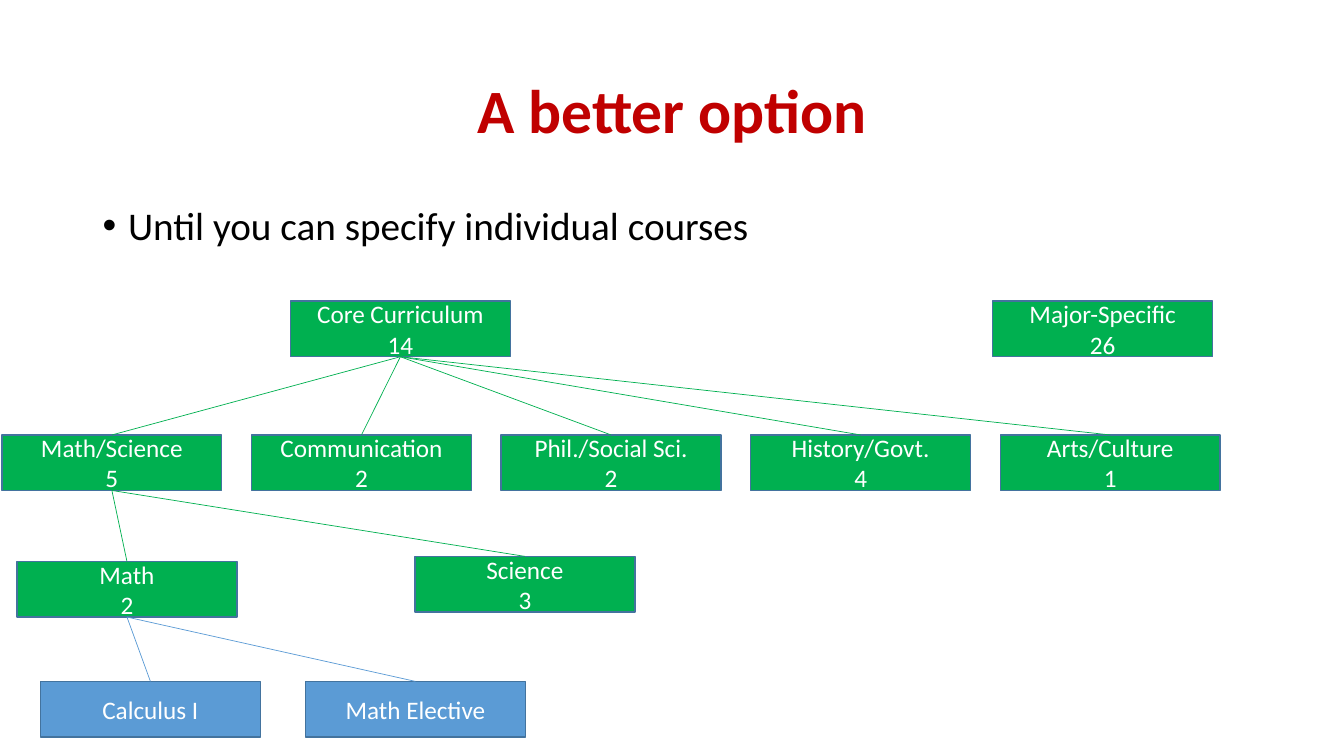
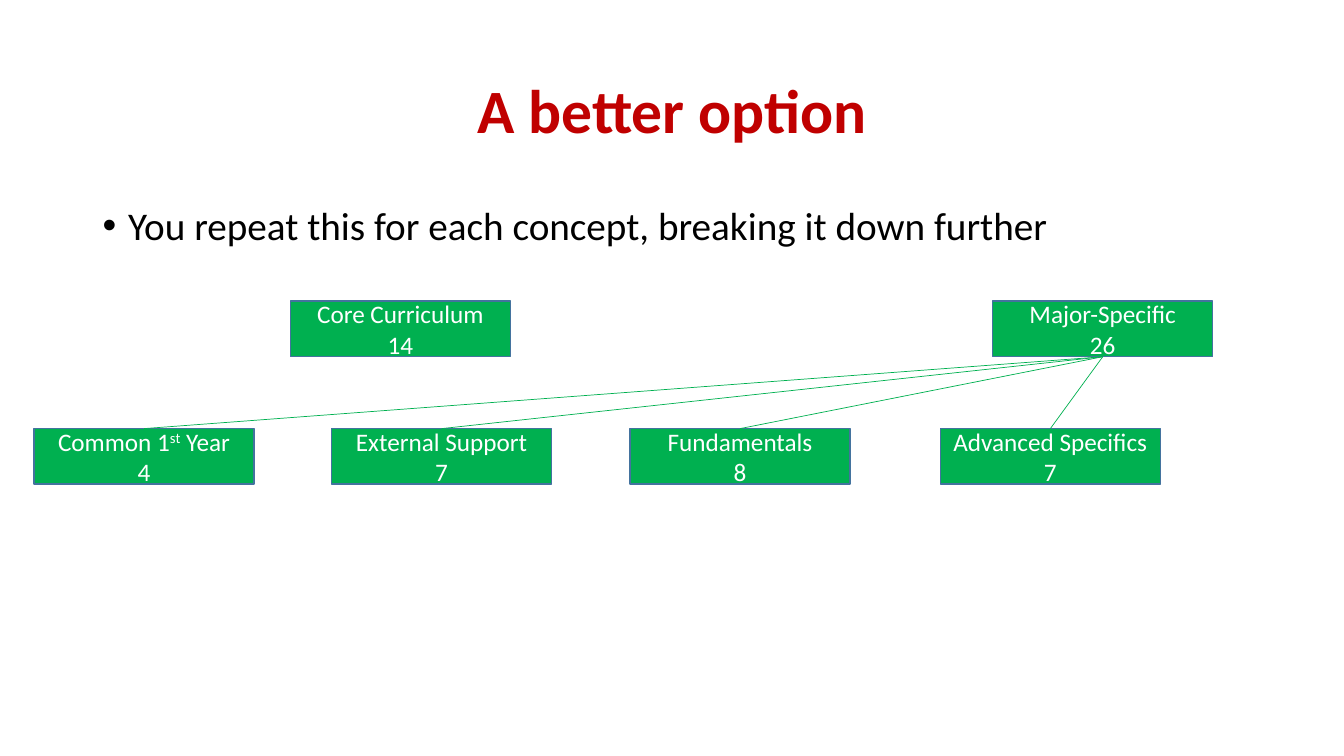
"""Build two slides that break a degree plan down into a course tree."""
from lxml import etree
from pptx import Presentation
from pptx.dml.color import RGBColor
from pptx.enum.shapes import MSO_CONNECTOR, MSO_SHAPE
from pptx.enum.text import MSO_ANCHOR, MSO_AUTO_SIZE, PP_ALIGN
from pptx.oxml.ns import qn
from pptx.util import Cm, Pt

COLORS = {
    "title": "C00000",
    "text": "000000",
    "group": "00B050",
    "course": "5B9BD5",
    "outline": "43739E",
    "box_text": "FFFFFF",
}
FONT = "Calibri"
MARGIN, CONTENT_WIDTH = 2.34, 29.21
BOX_WIDTH, BOX_HEIGHT = 5.54, 1.4
TOP, BOTTOM = 0, 2


def color(name):
    return RGBColor.from_string(COLORS[name])


def style_font(font, size, color_name, bold=False):
    font.name = FONT
    font.size = Pt(size)
    font.bold = bold
    font.color.rgb = color(color_name)


def add_title(slide, text):
    title = slide.shapes.title
    title.left, title.top = Cm(MARGIN), Cm(1.01)
    title.width, title.height = Cm(CONTENT_WIDTH), Cm(3.68)
    frame = title.text_frame
    frame.text = text
    frame.auto_size = MSO_AUTO_SIZE.NONE
    frame.vertical_anchor = MSO_ANCHOR.MIDDLE
    paragraph = frame.paragraphs[0]
    paragraph.alignment = PP_ALIGN.CENTER
    paragraph.line_spacing = 0.9
    style_font(paragraph.runs[0].font, 44, "title", bold=True)


def add_bullet(slide, text):
    box = slide.shapes.add_textbox(Cm(MARGIN), Cm(5.07), Cm(CONTENT_WIDTH), Cm(1.6))
    frame = box.text_frame
    frame.word_wrap = True
    paragraph = frame.paragraphs[0]
    paragraph.line_spacing = 0.9
    paragraph.space_before = Pt(10)
    run = paragraph.add_run()
    run.text = text
    style_font(run.font, 28, "text")
    properties = paragraph._p.get_or_add_pPr()
    properties.set("marL", str(Cm(0.64)))
    properties.set("indent", str(-Cm(0.64)))
    etree.SubElement(properties, qn("a:buFont")).set("typeface", "Arial")
    etree.SubElement(properties, qn("a:buChar")).set("char", "•")


def add_box(slide, left, top, lines, fill="group"):
    """Add a labelled box; text between carets becomes superscript."""
    box = slide.shapes.add_shape(
        MSO_SHAPE.RECTANGLE, Cm(left), Cm(top), Cm(BOX_WIDTH), Cm(BOX_HEIGHT))
    box.shadow.inherit = False
    box.fill.solid()
    box.fill.fore_color.rgb = color(fill)
    box.line.color.rgb = color("outline")
    box.line.width = Pt(1)
    frame = box.text_frame
    frame.word_wrap = True
    frame.vertical_anchor = MSO_ANCHOR.MIDDLE
    for index, line in enumerate(lines):
        paragraph = frame.add_paragraph() if index else frame.paragraphs[0]
        paragraph.alignment = PP_ALIGN.CENTER
        for part, text in enumerate(line.split("^")):
            run = paragraph.add_run()
            run.text = text
            style_font(run.font, 18, "box_text")
            if part % 2:
                run._r.get_or_add_rPr().set("baseline", "30000")
    return box


def connect(slide, parent, children, line_color="group"):
    for child in children:
        line = slide.shapes.add_connector(MSO_CONNECTOR.STRAIGHT, 0, 0, 0, 0)
        line.begin_connect(parent, BOTTOM)
        line.end_connect(child, TOP)
        line.line.color.rgb = color(line_color)
        line.line.width = Pt(0.5)
        etree.SubElement(line._element.spPr, qn("a:effectLst"))


def start_slide(prs, bullet):
    """Add a slide with the shared title and the two top-level boxes."""
    slide = prs.slides.add_slide(prs.slide_layouts[5])
    add_title(slide, "A better option")
    add_bullet(slide, bullet)
    major = add_box(slide, 25.02, 7.59, ["Major-Specific", "26"])
    core = add_box(slide, 7.32, 7.59, ["Core Curriculum", "14"])
    return slide, core, major


def build_core_slide(prs):
    slide, core, _ = start_slide(prs, "Until you can specify individual courses")
    areas = [
        ("Math/Science", "5"),
        ("Communication", "2"),
        ("Phil./Social Sci.", "2"),
        ("History/Govt.", "4"),
        ("Arts/Culture", "1"),
    ]
    area_boxes = [add_box(slide, 0.05 + 6.29 * column, 10.96, area)
                  for column, area in enumerate(areas)]
    connect(slide, core, area_boxes)
    math = add_box(slide, 0.43, 14.15, ["Math", "2"])
    science = add_box(slide, 10.46, 14.02, ["Science", "3"])
    connect(slide, area_boxes[0], [math, science])
    courses = [add_box(slide, left, 17.17, [name], "course")
               for left, name in [(1.02, "Calculus I"), (7.7, "Math Elective")]]
    connect(slide, math, courses, "course")


def build_major_slide(prs):
    slide, _, major = start_slide(
        prs, "You repeat this for each concept, breaking it down further")
    stages = [
        (0.86, "Common 1^st^ Year", "4"),
        (8.36, "External Support", "7"),
        (15.88, "Fundamentals", "8"),
        (23.7, "Advanced Specifics", "7"),
    ]
    connect(slide, major, [add_box(slide, left, 10.8, lines)
                           for left, *lines in stages])


def main():
    prs = Presentation()
    prs.slide_width, prs.slide_height = Cm(33.87), Cm(19.05)
    build_core_slide(prs)
    build_major_slide(prs)
    prs.save("out.pptx")


main()
